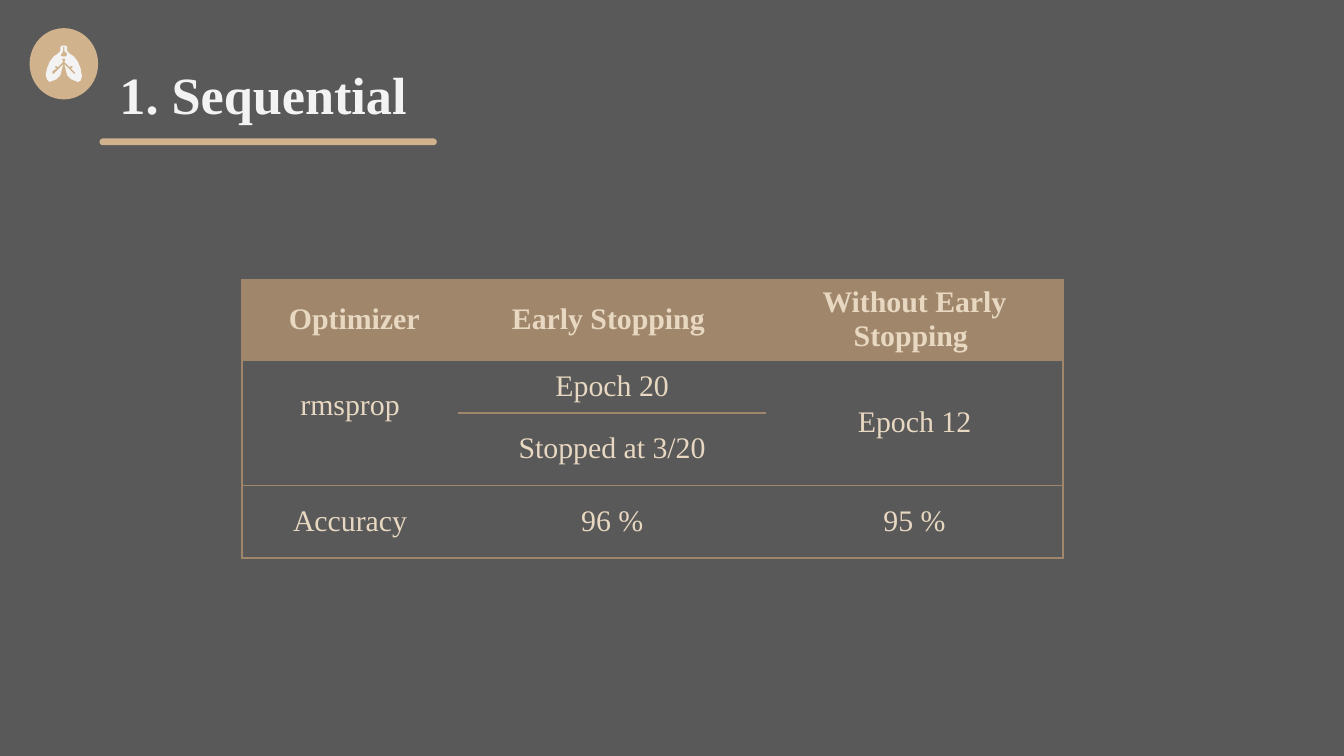
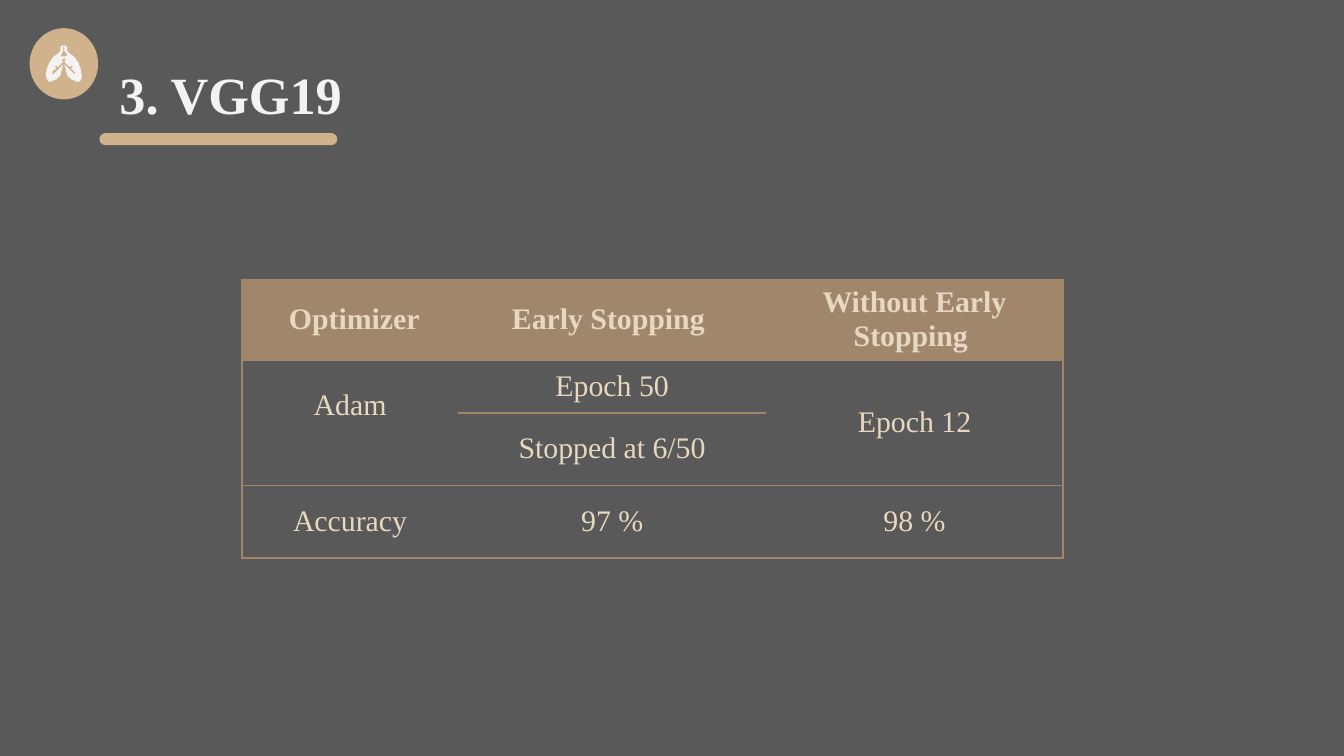
from dataclasses import dataclass

from lxml.etree import SubElement
from pptx import Presentation
from pptx.dml.color import RGBColor
from pptx.enum.shapes import MSO_SHAPE as Shape
from pptx.enum.text import MSO_ANCHOR as Anchor, PP_ALIGN as Align
from pptx.oxml.ns import qn
from pptx.util import Inches, Pt

# Shared look
FONT = "Times New Roman"
BACKGROUND, SAND, BROWN = "595959", "D0B38C", "A0876C"
CREAM, WHITE = "E8D8C1", "F3F3F3"
NO_TABLE_STYLE = "{2D5ABB26-0587-4C30-8999-92F81FD0307C}"
COL_WIDTHS = (1.61, 2.29, 2.21)
ROW_HEIGHTS = (0.42, 0.39, 0.54, 0.54)
HEADERS = ("Optimizer ", "Early Stopping ", "Without Early Stopping ")
RULE_LEFT, RULE_BOTTOM = 0.74, 1.08

# Lungs icon, in hundredths of an inch
LUNGS = (
    (46, 34), (45, 35), (45, 38), (44, 39), (43, 40), (40, 42), (37, 46),
    (35, 51), (34, 56), (35, 59), (37, 61), (42, 59), (45, 56), (47, 48),
    (44, 51), (43, 52), (40, 55), (39, 55), (39, 53), (42, 51), (41, 50),
    (41, 49), (42, 49), (43, 50), (47, 46), (46, 44), (47, 44), (48, 43),
    (48, 44), (49, 44), (48, 46), (52, 50), (53, 49), (54, 49), (54, 50),
    (53, 51), (56, 54), (56, 55), (55, 55), (48, 48), (50, 56), (53, 59),
    (58, 61), (60, 60), (61, 57), (60, 51), (58, 46), (55, 42), (52, 40),
    (51, 39), (50, 38), (50, 35), (49, 34),
)
WINDPIPE = (
    (48, 35), (48, 38), (50, 40), (50, 41), (49, 42), (48, 42),
    (46, 42), (45, 41), (46, 40), (47, 38), (47, 35),
)


@dataclass
class Model:
    title: str
    rule_width: float
    rule_height: float
    optimizer: str
    epochs: str
    stopped: str
    epochs_without: str
    accuracy: str
    accuracy_without: str


MODELS = (
    Model("1. Sequential", 2.51, 0.05, "rmsprop", "Epoch 20",
          "Stopped at 3/20", "Epoch 12", "96 %", "95 %"),
    Model("3. VGG19", 1.77, 0.09, "Adam", "Epoch 50",
          "Stopped at 6/50", "Epoch 12", "97 %", "98 %"),
)


def rgb(color: str) -> RGBColor:
    return RGBColor.from_string(color)


def paint(sp, color: str) -> None:
    sp.shadow.inherit = False
    sp.fill.solid()
    sp.fill.fore_color.rgb = rgb(color)
    sp.line.fill.background()


def add_run(p, text: str, size: int, color: str, bold: bool) -> None:
    r = p.add_run()
    r.text = text
    r.font.name = FONT
    r.font.size = Pt(size)
    r.font.bold = bold
    r.font.color.rgb = rgb(color)


def add_icon(s) -> None:
    group = s.shapes.add_group_shape()
    disc = group.shapes.add_shape(
        Shape.OVAL, Inches(0.22), Inches(0.21), Inches(0.51), Inches(0.53))
    paint(disc, SAND)
    builder = group.shapes.build_freeform(*LUNGS[0], scale=Inches(0.01))
    builder.add_line_segments(LUNGS[1:], close=True)
    builder.move_to(*WINDPIPE[0])
    builder.add_line_segments(WINDPIPE[1:], close=True)
    paint(builder.convert_to_shape(), WHITE)


def add_title(s, model: Model) -> None:
    # Underline
    rule = s.shapes.add_shape(
        Shape.ROUNDED_RECTANGLE, Inches(RULE_LEFT),
        Inches(RULE_BOTTOM - model.rule_height),
        Inches(model.rule_width), Inches(model.rule_height))
    rule.adjustments[0] = 0.5
    paint(rule, SAND)

    add_icon(s)

    # Title text
    box = s.shapes.add_textbox(
        Inches(0.79), Inches(0.36), Inches(2.51), Inches(0.63))
    tf = box.text_frame
    tf.word_wrap = True
    tf.margin_left = tf.margin_right = Inches(0.1)
    tf.margin_top = tf.margin_bottom = Inches(0.1)
    add_run(tf.paragraphs[0], model.title, 28, WHITE, True)


def set_borders(cell, sides: str) -> None:
    """Draw the given sides, a string of the letters L, R, T and B."""
    tc_pr = cell._tc.get_or_add_tcPr()
    for side in "LRTB":
        ln = SubElement(tc_pr, qn(f"a:ln{side}"), w=str(Pt(0.75)))
        if side in sides:
            fill = SubElement(ln, qn("a:solidFill"))
            SubElement(fill, qn("a:srgbClr"), val=BROWN)
        else:
            SubElement(ln, qn("a:noFill"))


def add_results(s, model: Model) -> None:
    rows = (
        HEADERS,
        (model.optimizer, model.epochs, model.epochs_without),
        ("", model.stopped, ""),
        ("Accuracy", model.accuracy, model.accuracy_without),
    )
    frame = s.shapes.add_table(
        len(rows), len(COL_WIDTHS), Inches(1.8), Inches(2.08),
        Inches(sum(COL_WIDTHS)), Inches(sum(ROW_HEIGHTS)))
    table = frame.table
    table.first_row = table.horz_banding = False
    for style in frame._element.iter(qn("a:tableStyleId")):
        style.text = NO_TABLE_STYLE
    for column, width in zip(table.columns, COL_WIDTHS):
        column.width = Inches(width)
    for row, height in zip(table.rows, ROW_HEIGHTS):
        row.height = Inches(height)

    # Optimizer and plain epochs cover both epoch rows
    for c in (0, 2):
        table.cell(1, c).merge(table.cell(2, c))

    for i, texts in enumerate(rows):
        for c, text in enumerate(texts):
            cell = table.cell(i, c)
            outer = ("L", "", "R")[c]
            set_borders(cell, outer + ("B" if cell.is_spanned else "TB"))
            if i == 0:
                cell.fill.solid()
                cell.fill.fore_color.rgb = rgb(BROWN)
            else:
                cell.fill.background()
            if cell.is_spanned:
                continue
            cell.margin_top, cell.margin_bottom = Inches(0.03), Inches(0.04)
            cell.vertical_anchor = Anchor.MIDDLE
            p = cell.text_frame.paragraphs[0]
            p.alignment = Align.CENTER
            add_run(p, text, 16, CREAM, i == 0)

    # The first heading runs right to left; the optimizer sits a little high
    heading = table.cell(0, 0).text_frame.paragraphs[0]
    heading._p.get_or_add_pPr().set("rtl", "1")
    table.cell(1, 0).margin_bottom = Inches(0.29)


def main() -> None:
    prs = Presentation()
    prs.slide_width = Inches(10)
    prs.slide_height = Inches(10 * 9 / 16)
    for model in MODELS:
        s = prs.slides.add_slide(prs.slide_layouts[6])
        s.background.fill.solid()
        s.background.fill.fore_color.rgb = rgb(BACKGROUND)
        add_title(s, model)
        add_results(s, model)
    prs.save("out.pptx")


if __name__ == "__main__":
    main()
